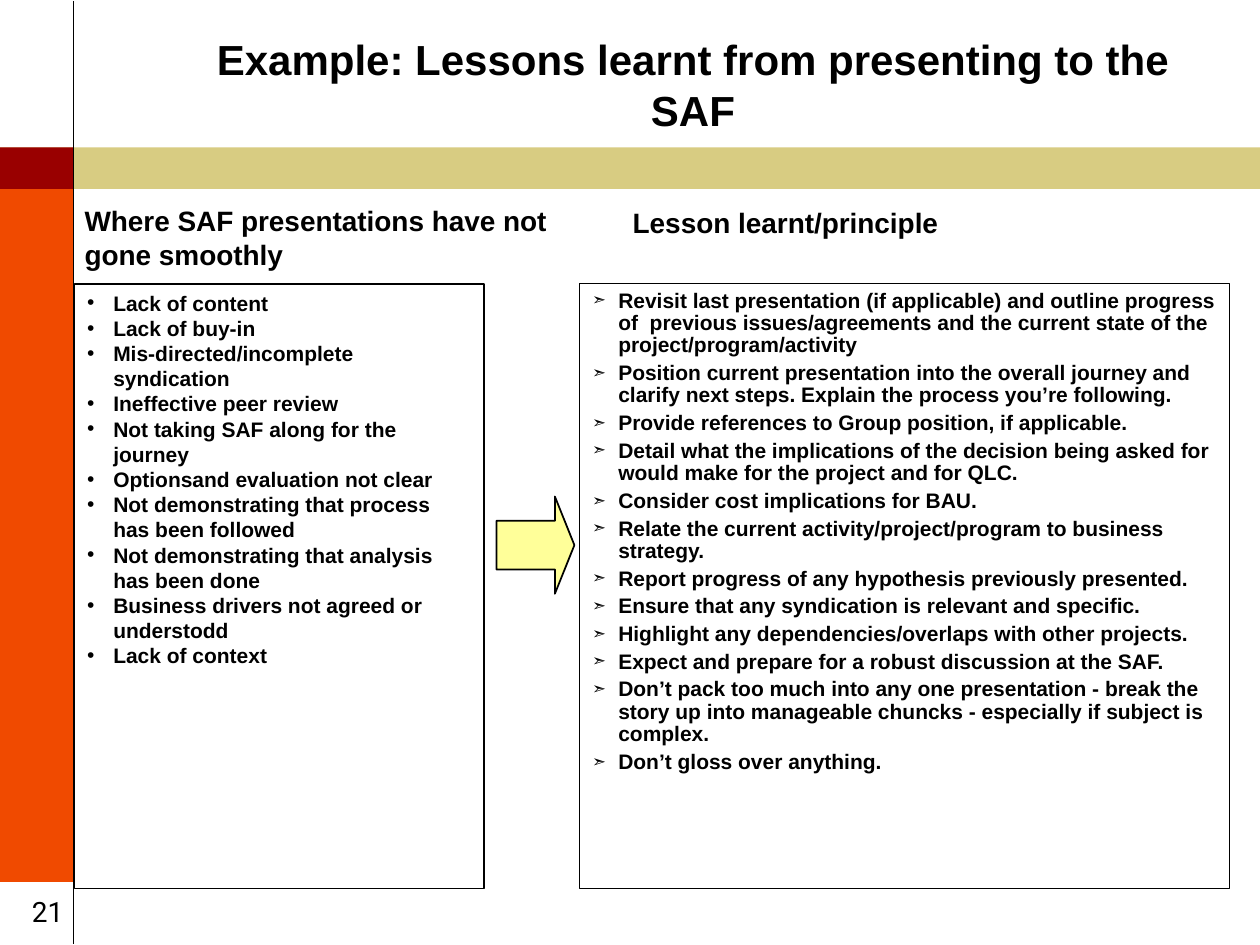
import pptx
import pptx.util
import pptx.dml.color
import pptx.enum.shapes
import pptx.enum.text
import pptx.oxml
import pptx.oxml.ns
import lxml.etree

Cm, Pt = pptx.util.Cm, pptx.util.Pt
KIND = pptx.enum.shapes.MSO_SHAPE
ALIGN = pptx.enum.text.PP_ALIGN
ANCHOR = pptx.enum.text.MSO_ANCHOR

# Content
TITLE = "Example: Lessons learnt from presenting to the SAF"
PAGE = "21"
HEADS = ["Where SAF presentations have not gone smoothly",
         "Lesson learnt/principle"]
FAULTS = [
    "Lack of content",
    "Lack of buy-in",
    "Mis-directed/incomplete syndication",
    "Ineffective peer review",
    "Not taking SAF along for the journey",
    "Optionsand evaluation not clear",
    "Not demonstrating that process has been followed",
    "Not demonstrating that analysis has been done",
    "Business drivers not agreed or understodd",
    "Lack of context",
]
LESSONS = [
    "Revisit last presentation (if applicable) and outline progress of  previous "
    "issues/agreements and the current state of the project/program/activity",
    "Position current presentation into the overall journey and clarify next steps. "
    "Explain the process you’re following.",
    "Provide references to Group position, if applicable.",
    "Detail what the implications of the decision being asked for would make for "
    "the project and for QLC.",
    "Consider cost implications for BAU.",
    "Relate the current activity/project/program to business strategy.",
    "Report progress of any hypothesis previously presented.",
    "Ensure that any syndication is relevant and specific.",
    "Highlight any dependencies/overlaps with other projects.",
    "Expect and prepare for a robust discussion at the SAF.",
    "Don’t pack too much into any one presentation - break the story up into "
    "manageable chuncks - especially if subject is complex.",
    "Don’t gloss over anything.",
]
HEX = {"ink": "000000", "sand": "D8CC82", "flame": "F04A00",
       "red": "990000", "cream": "FFFF99"}

# Layout in centimetres
WIDE, HIGH = 25.4, 19.05
SIDE = 1.48                     # width of the left strip
BAND, DEEP = 2.97, 0.84         # top and depth of the band
LIST, TALL = 5.72, 12.19        # top and height of both lists


def tint(name):
    return pptx.dml.color.RGBColor.from_string(HEX[name])


def place(shape, left, top, width, height):
    shape.left, shape.top = Cm(left), Cm(top)
    shape.width, shape.height = Cm(width), Cm(height)


def edge(shape, weight):
    shape.line.color.rgb = tint("ink")
    shape.line.width = Pt(weight)


def mark(para, sign, scale):
    """Give a paragraph a hanging bullet."""
    props = para._p.get_or_add_pPr()
    props.set("marL", str(Cm(0.53)))
    props.set("indent", str(-Cm(0.53)))
    tags = [("buSzPct", "val", str(scale * 1000)),
            ("buFont", "typeface", "Arial"), ("buChar", "char", sign)]
    for tag, key, value in tags:
        item = lxml.etree.SubElement(props, pptx.oxml.ns.qn("a:" + tag))
        item.set(key, value)


def write(shape, lines, size=12, font="Arial", bold=True, align=ALIGN.LEFT,
          anchor=ANCHOR.TOP, sign=None, scale=100, lead=1.0, gap=0):
    frame = shape.text_frame
    frame.word_wrap = True
    frame.auto_size = pptx.enum.text.MSO_AUTO_SIZE.NONE
    frame.vertical_anchor = anchor
    for i, line in enumerate(lines):
        para = frame.add_paragraph() if i else frame.paragraphs[0]
        para.alignment = align
        para.line_spacing = lead
        para.space_before = Pt(gap if i else 0)
        para.space_after = Pt(gap)
        if sign:
            mark(para, sign, scale)
        run = para.add_run()
        run.text = line
        run.font.size, run.font.name, run.font.bold = Pt(size), font, bold
        run.font.color.rgb = tint("ink")


def block(slide, kind, fill, *area):
    shape = slide.shapes.add_shape(kind, *map(Cm, area))
    shape.shadow.inherit = False
    shape.fill.solid()
    shape.fill.fore_color.rgb = tint(fill)
    shape.line.fill.background()
    return shape


def main():
    deck = pptx.Presentation()
    deck.slide_width, deck.slide_height = Cm(WIDE), Cm(HIGH)
    slide = deck.slides.add_slide(deck.slide_layouts[4])
    title, head1, list1, head2, list2 = slide.placeholders

    # Band, side strip and rule
    block(slide, KIND.RECTANGLE, "sand", 0, BAND, WIDE, DEEP)
    block(slide, KIND.RECTANGLE, "flame", 0, BAND + DEEP, SIDE, 13.97)
    block(slide, KIND.RECTANGLE, "red", 0, BAND, SIDE, DEEP)
    rule = slide.shapes.add_connector(
        pptx.enum.shapes.MSO_CONNECTOR.STRAIGHT,
        Cm(SIDE), Cm(0.02), Cm(SIDE), Cm(HIGH - 0.02))
    edge(rule, 1)
    lxml.etree.SubElement(rule._element.spPr, pptx.oxml.ns.qn("a:effectLst"))

    # Title and page number
    place(title, 4.02, 0.85, 19.9, 1.7)
    write(title, [TITLE], size=24, align=ALIGN.CENTER, anchor=ANCHOR.MIDDLE)
    page = slide.shapes.add_textbox(Cm(0.22), Cm(17.9), Cm(SIDE), Cm(1.02))
    write(page, [PAGE], size=16, font="Roboto", bold=False, align=ALIGN.CENTER)

    # Column heads
    spots = [(1.45, 4.34), (12.5, 4.04)]
    for head, text, spot in zip((head1, head2), HEADS, spots):
        place(head, *spot, 10.06, 0.89)
        write(head, [text], size=16, anchor=ANCHOR.MIDDLE)

    # Framed lists
    place(list1, 1.5, LIST, 8.26, TALL)
    edge(list1, 1)
    write(list1, FAULTS, sign="•")
    place(list2, 11.68, LIST, 13.11, TALL)
    edge(list2, 0.75)
    write(list2, LESSONS, sign="➣", scale=79, lead=0.89, gap=1.5)

    # Arrow between the lists
    arrow = block(slide, KIND.RIGHT_ARROW, "cream", 10.01, 10.01, 1.57, 1.96)
    arrow.adjustments[0], arrow.adjustments[1] = 0.5, 0.25
    edge(arrow, 1)

    deck.save("out.pptx")


if __name__ == "__main__":
    main()
